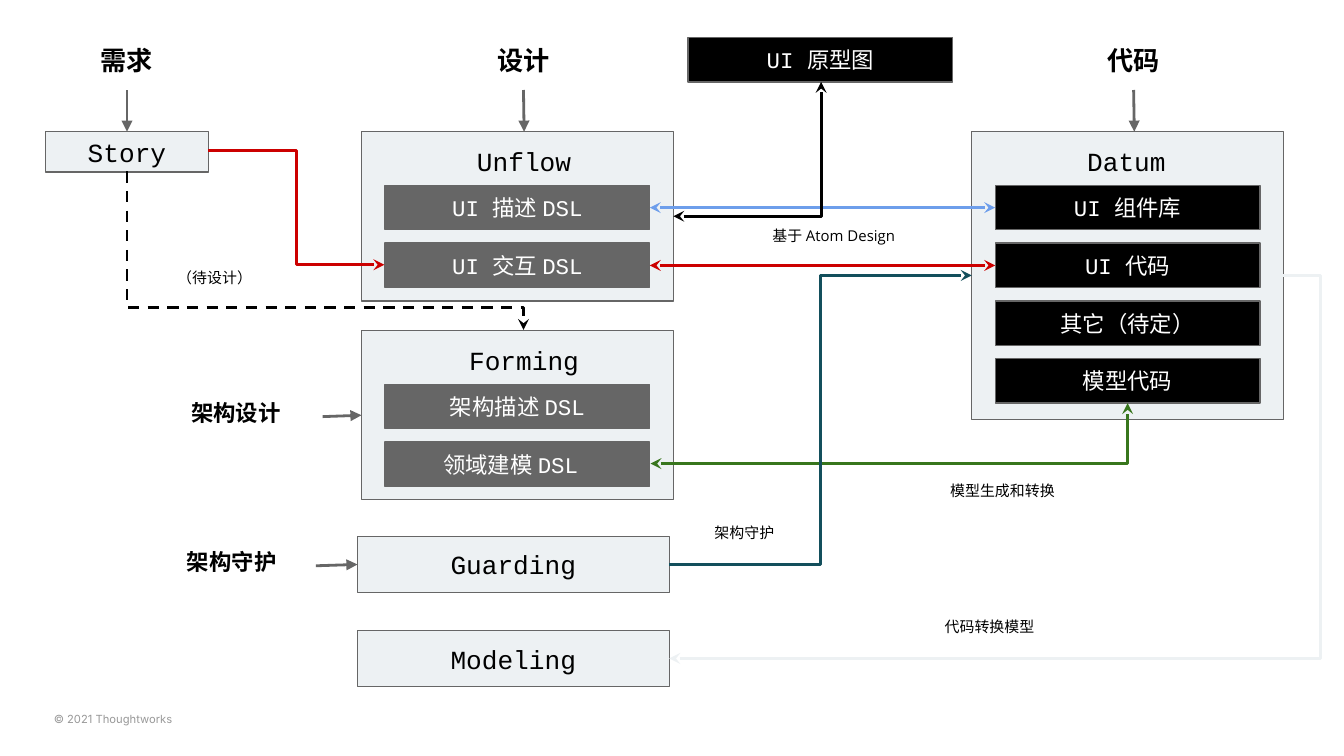
import pptx
import pptx.util
import pptx.dml.color
import pptx.enum.dml
import pptx.enum.shapes
import pptx.enum.text
import pptx.oxml
import pptx.oxml.ns

Inches = pptx.util.Inches
Pt = pptx.util.Pt
RGBColor = pptx.dml.color.RGBColor
MSO_CONNECTOR = pptx.enum.shapes.MSO_CONNECTOR
MSO_ANCHOR = pptx.enum.text.MSO_ANCHOR
PP_ALIGN = pptx.enum.text.PP_ALIGN

BLACK = RGBColor(0x00, 0x00, 0x00)
WHITE = RGBColor(0xFF, 0xFF, 0xFF)
PALE = RGBColor(0xED, 0xF1, 0xF3)
GRAY = RGBColor(0x66, 0x66, 0x66)
LIGHT_GRAY = RGBColor(0x99, 0x99, 0x99)
RED = RGBColor(0xCC, 0x00, 0x00)
BLUE = RGBColor(0x6D, 0x9E, 0xEB)
GREEN = RGBColor(0x38, 0x76, 0x1D)
TEAL = RGBColor(0x13, 0x4F, 0x5C)

prs = pptx.Presentation()
prs.slide_width = Inches(10)
prs.slide_height = Inches(10 * 9 / 16)
slide = prs.slides.add_slide(prs.slide_layouts[6])


def add_box(text, x, y, w, h, size, fill=None, color=BLACK, font="Courier New",
            bold=False, align=PP_ALIGN.CENTER, inset=0.1, anchor=MSO_ANCHOR.MIDDLE):
    bounds = Inches(x), Inches(y), Inches(w), Inches(h)
    if fill is None:
        s = slide.shapes.add_textbox(*bounds)
    else:
        s = slide.shapes.add_shape(pptx.enum.shapes.MSO_SHAPE.RECTANGLE, *bounds)
        s.shadow.inherit = False
        s.fill.solid()
        s.fill.fore_color.rgb = fill
        s.line.color.rgb = GRAY
        s.line.width = Pt(0.75)
    if text:
        tf = s.text_frame
        tf.word_wrap = True
        tf.vertical_anchor = anchor
        tf.margin_left = tf.margin_right = tf.margin_top = tf.margin_bottom = Inches(inset)
        p = tf.paragraphs[0]
        p.text = text
        p.alignment = align
        p.font.name = font
        p.font.size = Pt(size)
        p.font.bold = bold
        p.font.color.rgb = color
    return s


def add_arrow(x1, y1, x2, y2, color, head=None, tail=None, preset="line", adj=None, dash=None):
    kind = MSO_CONNECTOR.STRAIGHT if preset == "line" else MSO_CONNECTOR.ELBOW
    s = slide.shapes.add_connector(kind, Inches(x1), Inches(y1), Inches(x2), Inches(y2))
    s.line.color.rgb = color
    s.line.width = Pt(1.5)
    if dash:
        s.line.dash_style = dash
    ln = s.line._get_or_add_ln()
    for tag, end in (("a:headEnd", head), ("a:tailEnd", tail)):
        if end:
            ln.append(ln.makeelement(pptx.oxml.ns.qn(tag), {"type": end}))
    spPr = s._element.spPr
    spPr.append(spPr.makeelement(pptx.oxml.ns.qn("a:effectLst"), {}))
    geom = spPr.find(pptx.oxml.ns.qn("a:prstGeom"))
    geom.set("prst", preset)
    if adj is not None:
        av = geom.find(pptx.oxml.ns.qn("a:avLst"))
        av.append(av.makeelement(pptx.oxml.ns.qn("a:gd"),
                                 {"name": "adj1", "fmla": f"val {round(adj * 100000)}"}))
    return s


add_box("© 2021 Thoughtworks", 0.4, 5.21, 4.31, 0.19, 6, color=LIGHT_GRAY, font="Inter",
        align=PP_ALIGN.LEFT, inset=0, anchor=MSO_ANCHOR.BOTTOM)

story = add_box("Story", 0.34, 0.98, 1.21, 0.3, 14, PALE)
guarding = add_box("Guarding", 2.66, 3.99, 2.32, 0.42, 14, PALE)
add_box("Modeling", 2.66, 4.69, 2.32, 0.42, 14, PALE)
add_box("UI 原型图", 5.12, 0.28, 1.97, 0.33, 12, BLACK, WHITE)

panels = {}
titles = {}
items = {}
for title, x, y, h, fill, names in (
    ("Unflow", 2.69, 0.98, 1.26, GRAY, ("UI 描述 DSL", "UI 交互 DSL")),
    ("Forming", 2.69, 2.46, 1.26, GRAY, ("架构描述 DSL", "领域建模 DSL ")),
    ("Datum ", 7.23, 0.98, 2.14, BLACK, ("UI 组件库", "UI 代码", "其它（待定）", "模型代码")),
):
    panels[title] = add_box("", x, y, 2.32, h, 14, PALE)
    titles[title] = add_box(title, x + 0.49, y, 1.44, 0.44, 14, anchor=MSO_ANCHOR.TOP)
    for i, name in enumerate(names):
        items[name] = add_box(name, x + (2.32 - 1.97) / 2, y + 0.4 + 0.43 * i, 1.97, 0.33,
                              12, fill, WHITE)

for text, x, target in (("需求", 0.33, story), ("设计", 3.28, titles["Unflow"]),
                        ("代码", 7.82, titles["Datum "])):
    s = add_box(text, x, 0.23, 1.23, 0.44, 14, font="Open Sans", bold=True, anchor=MSO_ANCHOR.TOP)
    c = add_arrow(x + 0.61, 0.67, x + 0.61, 0.98, GRAY, tail="triangle")
    c.begin_connect(s, 2)
    c.end_connect(target, 0)

for text, x, y, start, target in (("架构设计", 1.14, 2.87, 2.4, panels["Forming"]),
                                  ("架构守护", 1.11, 3.98, 2.35, guarding)):
    add_box(text, x, y, 1.23, 0.4, 12, font="Open Sans", bold=True, anchor=MSO_ANCHOR.TOP)
    c = add_arrow(start, y + 0.23, 2.69, y + 0.22, GRAY, tail="triangle")
    c.end_connect(target, 1)

for left, right, y, color in (("UI 交互 DSL", "UI 代码", 1.97, RED),
                              ("UI 描述 DSL", "UI 组件库", 1.54, BLUE)):
    c = add_arrow(4.84, y, 7.41, y, color, "stealth", "stealth")
    c.begin_connect(items[left], 3)
    c.end_connect(items[right], 1)

for x1, y1, x2, y2, color, head, tail, preset, adj in (
    (1.55, 1.12, 2.86, 1.97, RED, None, "stealth", "bentConnector3", 0.5),
    (5.01, 1.61, 6.11, 0.61, BLACK, "stealth", "stealth", "bentConnector2", None),
    (4.84, 3.45, 8.39, 3.0, GREEN, "stealth", "stealth", "bentConnector2", None),
    (4.98, 4.2, 7.23, 2.05, TEAL, None, "stealth", "bentConnector3", 0.5),
    (4.98, 4.9, 9.55, 2.05, PALE, "stealth", None, "bentConnector3", 1.06),
):
    add_arrow(x1, y1, x2, y2, color, head, tail, preset, adj)

c = add_arrow(1.83, 0.39, 3.01, 3.34, BLACK, tail="stealth", preset="bentConnector3",
              adj=0.86, dash=pptx.enum.dml.MSO_LINE.DASH)
xfrm = c._element.spPr.find(pptx.oxml.ns.qn("a:xfrm"))
xfrm.set("rot", str(270 * 60000))
xfrm.set("flipH", "1")

for text, x, y, w, align in (
    ("基于 Atom Design", 5.59, 1.62, 1.23, PP_ALIGN.CENTER),
    ("（待设计）", 1.22, 1.93, 0.87, PP_ALIGN.LEFT),
    ("代码转换模型", 6.93, 4.53, 1.06, PP_ALIGN.LEFT),
    ("架构守护", 5.01, 3.83, 1.06, PP_ALIGN.CENTER),
    ("模型生成和转换", 6.93, 3.52, 1.06, PP_ALIGN.CENTER),
):
    add_box(text, x, y, w, 0.34, 8, font="Open Sans", align=align, anchor=MSO_ANCHOR.TOP)

prs.save("out.pptx")
